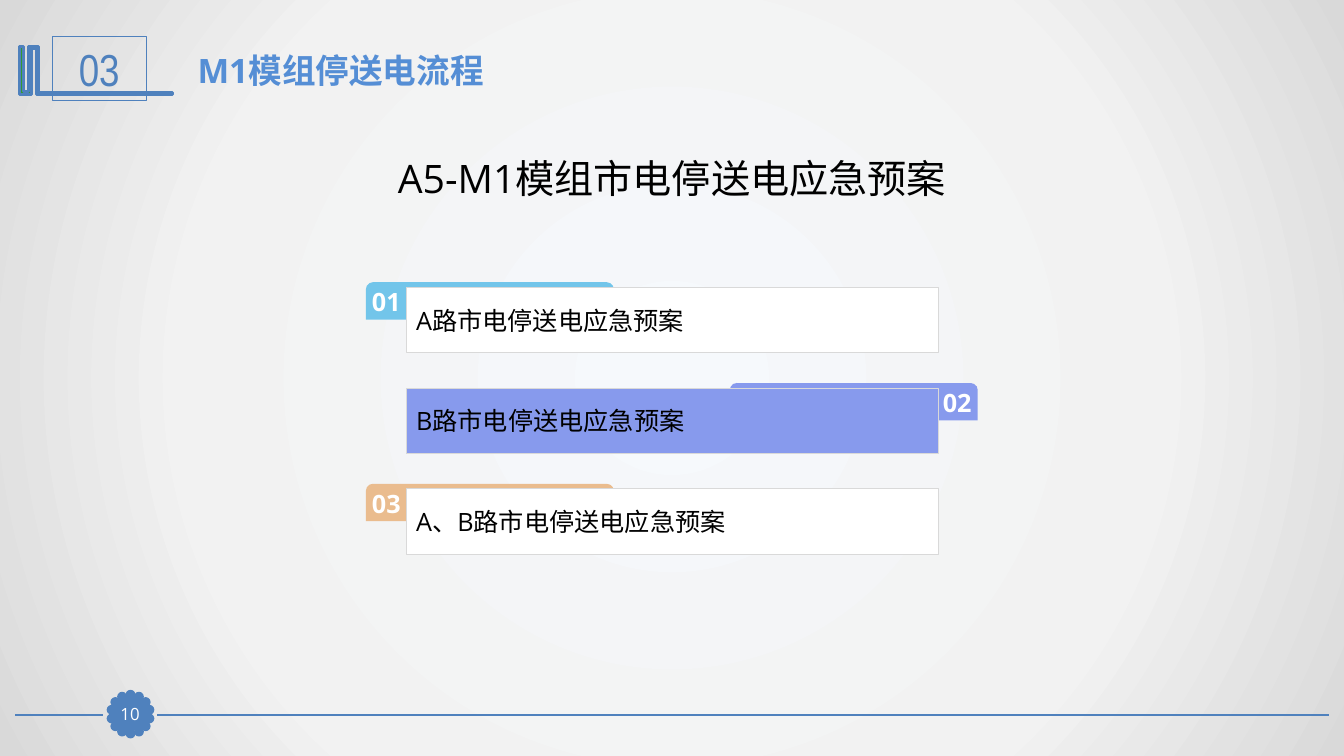
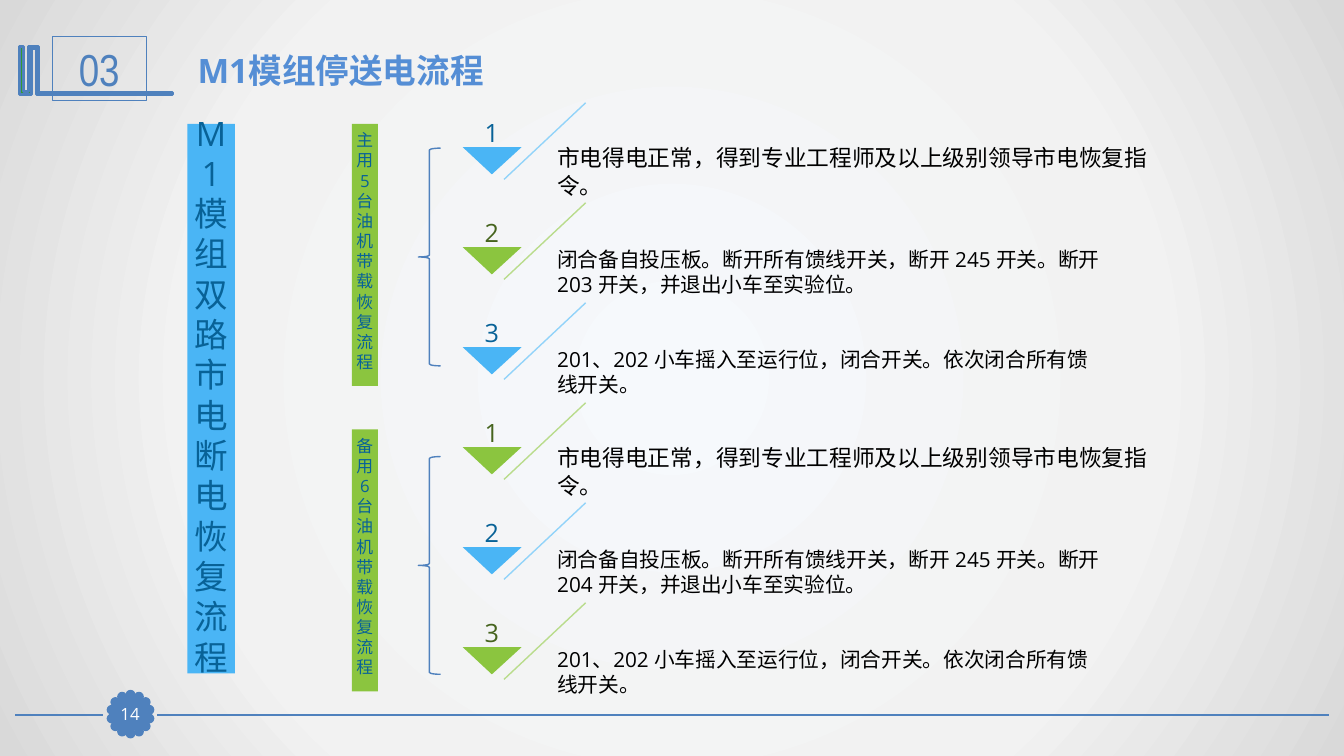
import math
from dataclasses import dataclass

import pptx
import pptx.dml.color
import pptx.enum.shapes
import pptx.enum.text
import pptx.oxml
import pptx.oxml.ns
import pptx.util

SHAPES = pptx.enum.shapes.MSO_SHAPE
ALIGN = pptx.enum.text.PP_ALIGN
ANCHOR = pptx.enum.text.MSO_ANCHOR


@dataclass(frozen=True)
class Theme:
    font: str = "Open Sans"
    number_font: str = "Arial Narrow"
    blue: str = "4F81BD"
    title: str = "558ED5"
    mark: str = "339933"
    black: str = "000000"
    white: str = "FFFFFF"
    card_line: str = "D9D9D9"
    sky: str = "72C5EA"
    violet: str = "879AED"
    sand: str = "EABC8E"
    azure: tuple = ("4AB5F5", "92D3F9", "086297")
    green: tuple = ("8BC53F", "B9DC8C", "46641E")
    background: tuple = ((0, "F6F9FC"), (63, "F2F2F2"), (100, "D9D9D9"))
    section_size: float = 32
    heading_size: float = 28
    title_size: float = 24
    body_size: float = 18
    long_step_size: float = 16.2
    step_size: float = 14.8
    small_size: float = 12


class Deck:
    cell = pptx.util.Inches(0.1)
    columns, rows = 133.33, 75
    insets = (1, 0.5, 1, 0.5)

    def __init__(self, theme):
        self.theme = theme
        self.presentation = pptx.Presentation()
        self.presentation.slide_width = self.length(self.columns)
        self.presentation.slide_height = self.length(self.rows)
        self.slide = None
        self.paint_background()

    def length(self, cells):
        return pptx.util.Emu(round(cells * self.cell))

    def lengths(self, cells):
        return [self.length(value) for value in cells]

    def color(self, value):
        return pptx.dml.color.RGBColor.from_string(value)

    def paint_background(self):
        master = self.presentation.slide_master
        master.background.fill.solid()
        properties = master.element.find(".//" + pptx.oxml.ns.qn("p:bgPr"))
        stops = "".join(
            f'<a:gs pos="{share * 1000}"><a:srgbClr val="{value}"/></a:gs>'
            for share, value in self.theme.background)
        gradient = pptx.oxml.parse_xml(
            f'<a:gradFill {pptx.oxml.ns.nsdecls("a")} rotWithShape="1">'
            f'<a:gsLst>{stops}</a:gsLst><a:path path="circle">'
            '<a:fillToRect l="50000" t="50000" r="50000" b="50000"/>'
            '</a:path></a:gradFill>')
        properties.replace(properties[0], gradient)

    def style(self, shape, fill=None, line=None, width=0.75):
        shape.shadow.inherit = False
        if fill:
            shape.fill.solid()
            shape.fill.fore_color.rgb = self.color(fill)
        else:
            shape.fill.background()
        if line:
            shape.line.color.rgb = self.color(line)
            shape.line.width = pptx.util.Pt(width)
        else:
            shape.line.fill.background()
        return shape

    def fill_text(self, shape, text, size, color, bold=False, align=ALIGN.LEFT,
                  anchor=ANCHOR.MIDDLE, insets=insets, font=None):
        frame = shape.text_frame
        frame.word_wrap = True
        frame.auto_size = pptx.enum.text.MSO_AUTO_SIZE.NONE
        frame.vertical_anchor = anchor
        (frame.margin_left, frame.margin_top,
         frame.margin_right, frame.margin_bottom) = self.lengths(insets)
        for index, words in enumerate(text.split("\n")):
            paragraph = frame.add_paragraph() if index else frame.paragraphs[0]
            paragraph.alignment = align
            run = paragraph.add_run()
            run.text = words
            run.font.size = pptx.util.Pt(size)
            run.font.bold = bold
            run.font.color.rgb = self.color(color)
            run.font.name = font or self.theme.font
            east_asian = pptx.oxml.parse_xml(
                f'<a:ea {pptx.oxml.ns.nsdecls("a")} typeface="{run.font.name}"/>')
            run.font._element.find(pptx.oxml.ns.qn("a:latin")).addnext(east_asian)

    def block(self, kind, place, fill=None, line=None, width=0.75):
        shape = self.slide.shapes.add_shape(kind, *self.lengths(place))
        return self.style(shape, fill, line, width)

    def text(self, place, text, size, color, **options):
        box = self.slide.shapes.add_textbox(*self.lengths(place))
        self.fill_text(box, text, size, color, **options)

    def line(self, start, end, color, width):
        connector = self.slide.shapes.add_connector(
            pptx.enum.shapes.MSO_CONNECTOR.STRAIGHT, *self.lengths(start + end))
        connector.line.color.rgb = self.color(color)
        connector.line.width = pptx.util.Pt(width)
        connector._element.spPr.append(
            pptx.oxml.parse_xml(f'<a:effectLst {pptx.oxml.ns.nsdecls("a")}/>'))

    def outline(self, points, fill, line=None, width=0.75):
        first, *others = [tuple(self.lengths(point)) for point in points]
        builder = self.slide.shapes.build_freeform(*first)
        builder.add_line_segments(others, close=True)
        return self.style(builder.convert_to_shape(), fill, line, width)

    def add_slide(self, title, section, page):
        self.slide = self.presentation.slides.add_slide(
            self.presentation.slide_layouts.get_by_name("Title Only"))
        self.footer(page)
        self.section_mark(section)
        placeholder = self.slide.shapes.title
        (placeholder.left, placeholder.top,
         placeholder.width, placeholder.height) = self.lengths((18.6, 4.4, 96.9, 5))
        self.fill_text(placeholder, title, self.theme.title_size, self.theme.title,
                       bold=True, anchor=ANCHOR.TOP)

    def footer(self, page):
        blue = self.theme.blue
        middle_x, middle_y, radius, dot, petals = 12.95, 70.85, 1.92, 0.7, 14
        self.line((131.8, 70.9), (15.6, 70.9), blue, 1.25)
        self.line((10.2, 70.9), (1.5, 70.9), blue, 1.25)
        for petal in range(petals):
            angle = 2 * math.pi * petal / petals
            left = middle_x + radius * math.sin(angle) - dot / 2
            top = middle_y - radius * math.cos(angle) - dot / 2
            self.block(SHAPES.OVAL, (left, top, dot, dot), blue, blue, 2)
        badge = self.block(SHAPES.RECTANGLE, (11.3, 69.3, 3.2, 3.1), blue, blue)
        self.fill_text(badge, page, self.theme.small_size, self.theme.white,
                       align=ALIGN.CENTER, insets=(0, 0, 0, 0))

    def section_mark(self, section):
        blue = self.theme.blue
        self.outline(
            [(3.7, 4.6), (3.8, 4.6), (3.8, 9.2), (17.1, 9.2), (17.1, 9.4),
             (3.6, 9.4), (3.6, 4.8), (3.1, 4.8), (3.1, 9.4), (1.9, 9.4),
             (1.9, 4.6), (2.3, 4.6), (2.3, 9.1), (2.8, 9.1), (2.8, 4.6)],
            self.theme.mark, blue, 2)
        frame = self.block(SHAPES.RECTANGLE, (5.2, 3.6, 9.3, 6.4), line=blue)
        self.fill_text(frame, section, self.theme.section_size, blue,
                       align=ALIGN.CENTER, font=self.theme.number_font)

    def plan_card(self, top, number, text, tab_color, card_color, on_right):
        tab = self.block(SHAPES.ROUND_2_SAME_RECTANGLE,
                         (72.4 if on_right else 36.3, top, 24.6, 3.7), tab_color)
        tab.adjustments[0], tab.adjustments[1] = 0.19, 0
        self.fill_text(tab, number, self.theme.body_size, self.theme.white, bold=True,
                       align=ALIGN.RIGHT if on_right else ALIGN.JUSTIFY,
                       insets=(1, 0, 0.4, 0) if on_right else (0.4, 0, 1, 0))
        card = self.block(SHAPES.RECTANGLE, (40.3, top + 0.5, 52.8, 6.5),
                          card_color, self.theme.card_line)
        self.fill_text(card, text, self.theme.body_size, self.theme.black,
                       align=ALIGN.JUSTIFY)

    def step(self, top, number, text, size, colors):
        fill, tint, dark = colors
        self.line((58.1, top), (50, top + 7.6), tint, 1)
        self.outline([(45.9, top + 4.4), (51.75, top + 4.4), (48.8, top + 7.1)], fill)
        self.text((54.3, top + 3.4, 60.7, 6.8), text, size, self.theme.black)
        self.text((45.7, top - 1.6, 6.2, 6), number, self.theme.body_size, dark,
                  align=ALIGN.CENTER, anchor=ANCHOR.BOTTOM, insets=(0, 0, 0, 0))

    def banner(self, place, text, size, fill):
        banner = self.block(SHAPES.RECTANGLE, place, fill)
        self.fill_text(banner, text, size, self.theme.azure[2], align=ALIGN.CENTER,
                       insets=(0, 0, 0, 0.8))

    def brace(self, top):
        self.block(SHAPES.LEFT_BRACE, (41.5, top, 2.2, 21.6),
                   line=self.theme.blue, width=1)


theme = Theme()
deck = Deck(theme)
title, section = "M1模组停送电流程", "03"

deck.add_slide(title, section, "10")
deck.text((0, 14.8, deck.columns, 5.7), "A5-M1模组市电停送电应急预案",
          theme.heading_size, theme.black, align=ALIGN.CENTER, anchor=ANCHOR.TOP)
plans = [
    ("A路市电停送电应急预案", theme.sky, theme.white, False),
    ("B路市电停送电应急预案", theme.violet, theme.violet, True),
    ("A、B路市电停送电应急预案", theme.sand, theme.white, False),
]
for index, plan in enumerate(plans):
    deck.plan_card(28 + 10 * index, f"{index + 1:02}", *plan)

deck.add_slide(title, section, "14")
flows = [("主用 5 台油机带载恢复流程", "203", 12.3, 14.7),
         ("备用 6 台油机带载恢复流程", "204", 42.6, 45.3)]
step_pitch = 9.92
for flow, (name, switch, banner_top, brace_top) in enumerate(flows):
    steps = [
        ("市电得电正常，得到专业工程师及以上级别领导市电恢复指\n令。",
         theme.long_step_size),
        (f"闭合备自投压板。断开所有馈线开关，断开 245 开关。断开\n"
         f"{switch} 开关，并退出小车至实验位。", theme.step_size),
        ("201、202 小车摇入至运行位，闭合开关。依次闭合所有馈\n线开关。",
         theme.step_size),
    ]
    for index, (text, size) in enumerate(steps):
        position = flow * len(steps) + index
        deck.step(10.2 + step_pitch * position, str(index + 1), text, size,
                  (theme.azure, theme.green)[position % 2])
    deck.banner((34.9, banner_top, 2.6, 26), name, theme.small_size, theme.green[0])
    deck.brace(brace_top)
deck.banner((18.6, 12.3, 4.7, 54.5), "M1 模组双路市电断电恢复流程",
            theme.title_size, theme.azure[0])

deck.presentation.save("out.pptx")
